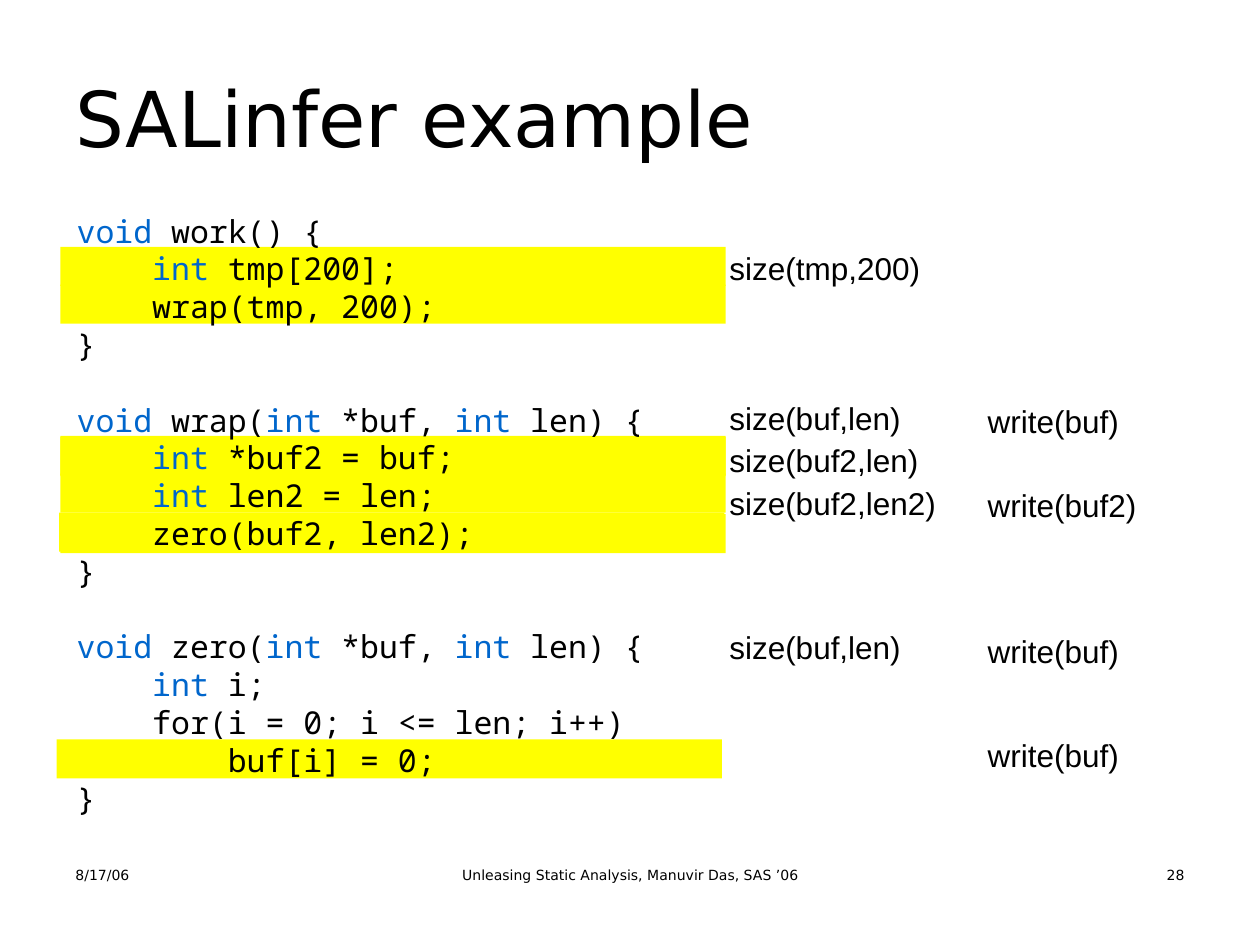
"""Build the SALinfer example slide: annotated code with highlighted lines."""
from dataclasses import dataclass

from pptx import Presentation
from pptx.dml.color import RGBColor
from pptx.enum.shapes import MSO_SHAPE
from pptx.enum.text import MSO_ANCHOR, MSO_AUTO_SIZE, PP_ALIGN
from pptx.util import Inches, Pt

RECTANGLE = MSO_SHAPE.RECTANGLE
MIDDLE = MSO_ANCHOR.MIDDLE
GROW, FIXED = MSO_AUTO_SIZE.SHAPE_TO_FIT_TEXT, MSO_AUTO_SIZE.NONE
LEFT, CENTER, RIGHT = PP_ALIGN.LEFT, PP_ALIGN.CENTER, PP_ALIGN.RIGHT

COLORS = {"text": "000000", "keyword": "0066CC", "highlight": "FFFF00"}
SANS, LABEL_FONT, MONO = "DejaVu Sans", "Arial", "Noto Sans Mono"
KEYWORDS = {"void", "int"}
SLIDE_WIDTH, SLIDE_HEIGHT = 10, 7.5
CODE_TOP, ROW = 1.66, 0.3
INDENT = 0.6
SIZE_COLUMN, WRITE_COLUMN = 5.69, 7.74


@dataclass
class CodeLine:
    text: str
    level: int = 0


@dataclass
class Highlight:
    row: float
    left: float = 0.48


@dataclass
class Label:
    text: str
    column: float
    row: float
    width: float


@dataclass
class Footer:
    text: str
    left: float
    width: float
    alignment: PP_ALIGN


FUNCTIONS = [
    [
        CodeLine("void| work() {"),
        CodeLine("int| tmp[200];", 1),
        CodeLine("wrap(tmp, 200);", 1),
        CodeLine("}"),
    ],
    [
        CodeLine("void| wrap(|int| *buf, |int| len) {"),
        CodeLine("int| *buf2 = buf;", 1),
        CodeLine("int| len2 = len;", 1),
        CodeLine("zero(buf2, len2);", 1),
        CodeLine("}"),
    ],
    [
        CodeLine("void| zero(|int| *buf, |int| len) {"),
        CodeLine("int| i;", 1),
        CodeLine("for(i = 0; i <= len; i++)", 1),
        CodeLine("buf[i] = 0;", 2),
        CodeLine("}"),
    ],
]
HIGHLIGHTS = [
    Highlight(6.03), Highlight(8.03, 0.47), Highlight(14.03, 0.45),
    Highlight(1), Highlight(2), Highlight(6), Highlight(7), Highlight(8.07),
]
LABELS = [
    Label("size(tmp,200)", SIZE_COLUMN, 0.9, 1.72),
    Label("size(buf,len)", SIZE_COLUMN, 4.87, 1.56),
    Label("size(buf2,len)", SIZE_COLUMN, 5.97, 1.7),
    Label("size(buf2,len2)", SIZE_COLUMN, 7.1, 1.84),
    Label("size(buf,len)", SIZE_COLUMN, 10.93, 1.56),
    Label("write(buf)", WRITE_COLUMN, 13.77, 1.24),
    Label("write(buf)", WRITE_COLUMN, 11.03, 1.24),
    Label("write(buf)", WRITE_COLUMN, 4.93, 1.24),
    Label("write(buf2)", WRITE_COLUMN, 7.17, 1.38),
]
FOOTERS = [
    Footer("8/17/06", 0.5, 2.33, LEFT),
    Footer("Unleasing Static Analysis, Manuvir Das, SAS ’06", 3.42, 3.17, CENTER),
    Footer("28", 7.17, 2.33, RIGHT),
]


def color(name: str) -> RGBColor:
    return RGBColor.from_string(COLORS[name])


def row_top(row: float) -> float:
    return CODE_TOP + row * ROW


def set_font(paragraph, name: str, size: float) -> None:
    paragraph.font.name = name
    paragraph.font.size = Pt(size)
    paragraph.font.color.rgb = color("text")


def add_text_frame(slide, left: float, top: float, width: float, height: float,
                   wrap: bool = True, auto_size: MSO_AUTO_SIZE = FIXED):
    box = slide.shapes.add_textbox(*map(Inches, (left, top, width, height)))
    box.text_frame.word_wrap = wrap
    box.text_frame.auto_size = auto_size
    return box.text_frame


def add_title(slide, text: str) -> None:
    title = slide.shapes.title
    title.left, title.top, title.width, title.height = map(Inches, (0.5, 0.3, 9, 1.25))
    title.text_frame.text = text
    title.text_frame.vertical_anchor = MIDDLE
    paragraph = title.text_frame.paragraphs[0]
    paragraph.alignment = LEFT
    set_font(paragraph, SANS, 44)


def add_footer(slide, footer: Footer) -> None:
    frame = add_text_frame(slide, footer.left, 6.83, footer.width, 0.52)
    paragraph = frame.paragraphs[0]
    paragraph.text = footer.text
    paragraph.alignment = footer.alignment
    set_font(paragraph, SANS, 8)


def add_highlight(slide, highlight: Highlight) -> None:
    bar = slide.shapes.add_shape(
        RECTANGLE, *map(Inches, (highlight.left, row_top(highlight.row), 5.28, 0.31)))
    bar.shadow.inherit = False
    bar.fill.solid()
    bar.fill.fore_color.rgb = color("highlight")
    bar.line.fill.background()


def add_label(slide, label: Label) -> None:
    frame = add_text_frame(slide, label.column, row_top(label.row), label.width, 0.4,
                           wrap=False, auto_size=GROW)
    frame.paragraphs[0].text = label.text
    set_font(frame.paragraphs[0], LABEL_FONT, 18)


def write_code_line(paragraph, line: CodeLine) -> None:
    set_font(paragraph, MONO, 18)
    paragraph.line_spacing = Inches(ROW)
    properties = paragraph._p.get_or_add_pPr()
    properties.set("marL", str(Inches(line.level * INDENT)))
    properties.set("indent", "0")
    for token in line.text.split("|"):
        run = paragraph.add_run()
        run.text = token
        if token in KEYWORDS:
            run.font.color.rgb = color("keyword")


def add_code(slide) -> None:
    frame = add_text_frame(slide, 0.51, 1.63, 4.75, 4.91, auto_size=GROW)
    paragraph = frame.paragraphs[0]
    for function_index, lines in enumerate(FUNCTIONS):
        for line_index, line in enumerate(lines):
            if function_index or line_index:
                paragraph = frame.add_paragraph()
            if function_index and not line_index:
                paragraph.space_before = Inches(ROW)
            write_code_line(paragraph, line)


def main() -> None:
    presentation = Presentation()
    presentation.slide_width = Inches(SLIDE_WIDTH)
    presentation.slide_height = Inches(SLIDE_HEIGHT)
    slide = presentation.slides.add_slide(presentation.slide_layouts[5])
    add_title(slide, "SALinfer example")
    for footer in FOOTERS:
        add_footer(slide, footer)
    for highlight in HIGHLIGHTS:
        add_highlight(slide, highlight)
    for label in LABELS:
        add_label(slide, label)
    add_code(slide)
    presentation.save("out.pptx")


if __name__ == "__main__":
    main()
